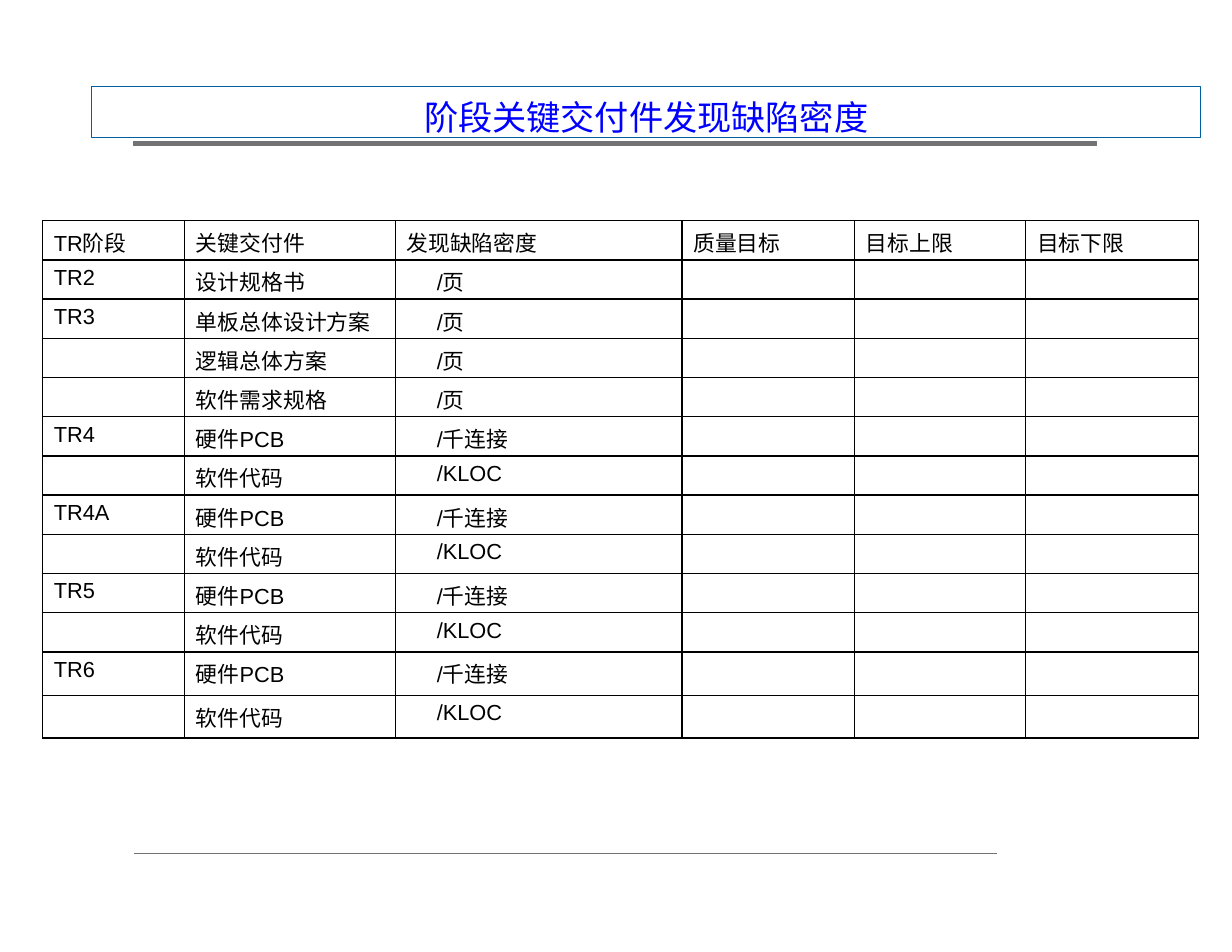
from dataclasses import dataclass

from lxml.etree import SubElement
from pptx import Presentation
from pptx.dml.color import RGBColor
from pptx.enum.shapes import MSO_CONNECTOR, MSO_SHAPE
from pptx.enum.text import MSO_ANCHOR, PP_ALIGN
from pptx.oxml.ns import qn
from pptx.slide import Slide
from pptx.table import _Cell
from pptx.util import Inches, Pt


@dataclass(frozen=True)
class Theme:
    latin: str = "Arial"
    chinese: str = "Noto Sans CJK SC"
    title_size: float = 22
    table_size: float = 14
    title: RGBColor = RGBColor(0, 0, 255)
    frame: RGBColor = RGBColor(0, 0x60, 0xA0)
    rule: RGBColor = RGBColor(0x72, 0x72, 0x72)
    ink: RGBColor = RGBColor(0, 0, 0)
    paper: RGBColor = RGBColor(255, 255, 255)
    thin: float = 0.71
    grid: float = 0.96


@dataclass(frozen=True)
class Deliverable:
    stage: str
    name: str
    unit: str


THEME = Theme()
TITLE = "阶段关键交付件发现缺陷密度"
HEADINGS = ("TR阶段", "关键交付件", "发现缺陷密度", "质量目标", "目标上限", "目标下限")
COLUMN_WIDTHS = (1.27, 1.88, 2.56, 1.54, 1.53, 1.54)
ROW_HEIGHTS = (0.35,) * 11 + (0.39, 0.38)
UNIT_COLUMN = 2
UNIT_INDENT = 0.27
DELIVERABLES = [
    Deliverable("TR2", "设计规格书", "/页"),
    Deliverable("TR3", "单板总体设计方案", "/页"),
    Deliverable("", "逻辑总体方案", "/页"),
    Deliverable("", "软件需求规格", "/页"),
]
for stage in ("TR4", "TR4A", "TR5", "TR6"):
    DELIVERABLES += [
        Deliverable(stage, "硬件PCB", "/千连接"),
        Deliverable("", "软件代码", "/KLOC"),
    ]


def write_text(paragraph, text: str, latin: str, size: float, color: RGBColor) -> None:
    span = paragraph.add_run()
    span.text = text
    for name, value in {"name": latin, "size": Pt(size)}.items():
        setattr(span.font, name, value)
    span.font.color.rgb = color
    properties = span.font._element
    SubElement(properties, qn("a:ea"), typeface=THEME.chinese)


def draw_rules(page: Slide) -> None:
    bar = page.shapes.add_shape(
        MSO_SHAPE.ROUNDED_RECTANGLE, Inches(1.19), Inches(1.26), Inches(8.6), Inches(0.04)
    )
    bar.adjustments[0] = 0
    bar.shadow.inherit = False
    bar.fill.solid()
    bar.fill.fore_color.rgb = THEME.rule
    footer = page.shapes.add_connector(
        MSO_CONNECTOR.STRAIGHT, Inches(1.2), Inches(7.62), Inches(8.9), Inches(7.62)
    )
    SubElement(footer._element.spPr, qn("a:effectLst"))
    for shape in (bar, footer):
        shape.line.color.rgb = THEME.rule
        shape.line.width = Pt(THEME.thin)


def draw_title(page: Slide) -> None:
    box = page.shapes.add_textbox(Inches(0.82), Inches(0.77), Inches(9.9), Inches(0.46))
    box.line.color.rgb = THEME.frame
    box.line.width = Pt(THEME.thin)
    frame_format = {
        "word_wrap": True,
        "vertical_anchor": MSO_ANCHOR.BOTTOM,
        "margin_left": 0,
        "margin_right": 0,
        "margin_top": 0,
        "margin_bottom": 0,
    }
    for name, value in frame_format.items():
        setattr(box.text_frame, name, value)
    paragraph = box.text_frame.paragraphs[0]
    paragraph.alignment = PP_ALIGN.CENTER
    write_text(paragraph, TITLE, THEME.chinese, THEME.title_size, THEME.title)


def draw_borders(cell: _Cell) -> None:
    properties = cell._tc.get_or_add_tcPr()
    for side in ("lnL", "lnR", "lnT", "lnB"):
        border = SubElement(properties, qn(f"a:{side}"), w=str(Pt(THEME.grid)))
        fill = SubElement(border, qn("a:solidFill"))
        SubElement(fill, qn("a:srgbClr"), val=str(THEME.ink))


def fill_cell(cell: _Cell, text: str, indent: float) -> None:
    draw_borders(cell)
    cell.fill.solid()
    cell.fill.fore_color.rgb = THEME.paper
    margins = {"margin_left": 0.1, "margin_right": 0.1, "margin_top": 0.05, "margin_bottom": 0.05}
    for name, value in margins.items():
        setattr(cell, name, Inches(value))
    paragraph = cell.text_frame.paragraphs[0]
    if text:
        write_text(paragraph, text, THEME.latin, THEME.table_size, THEME.ink)
    else:
        SubElement(paragraph._p, qn("a:endParaRPr"), sz=str(int(THEME.table_size * 100)))
    if indent:
        paragraph._p.get_or_add_pPr().set("marL", str(Inches(indent)))


def draw_table(page: Slide) -> None:
    rows = [HEADINGS] + [(item.stage, item.name, item.unit, "", "", "") for item in DELIVERABLES]
    table = page.shapes.add_table(
        len(rows),
        len(HEADINGS),
        Inches(0.38),
        Inches(1.97),
        Inches(sum(COLUMN_WIDTHS)),
        Inches(sum(ROW_HEIGHTS)),
    ).table
    table.first_row = False
    table.horz_banding = False
    for column, width in zip(table.columns, COLUMN_WIDTHS):
        column.width = Inches(width)
    for row, height in zip(table.rows, ROW_HEIGHTS):
        row.height = Inches(height)
    for row_index, texts in enumerate(rows):
        for column_index, text in enumerate(texts):
            is_unit = row_index > 0 and column_index == UNIT_COLUMN
            fill_cell(table.cell(row_index, column_index), text, UNIT_INDENT if is_unit else 0)


def main() -> None:
    deck = Presentation()
    deck.slide_width = Inches(11)
    deck.slide_height = Inches(8.5)
    page = deck.slides.add_slide(deck.slide_layouts[6])
    draw_rules(page)
    draw_title(page)
    draw_table(page)
    deck.save("out.pptx")


if __name__ == "__main__":
    main()
